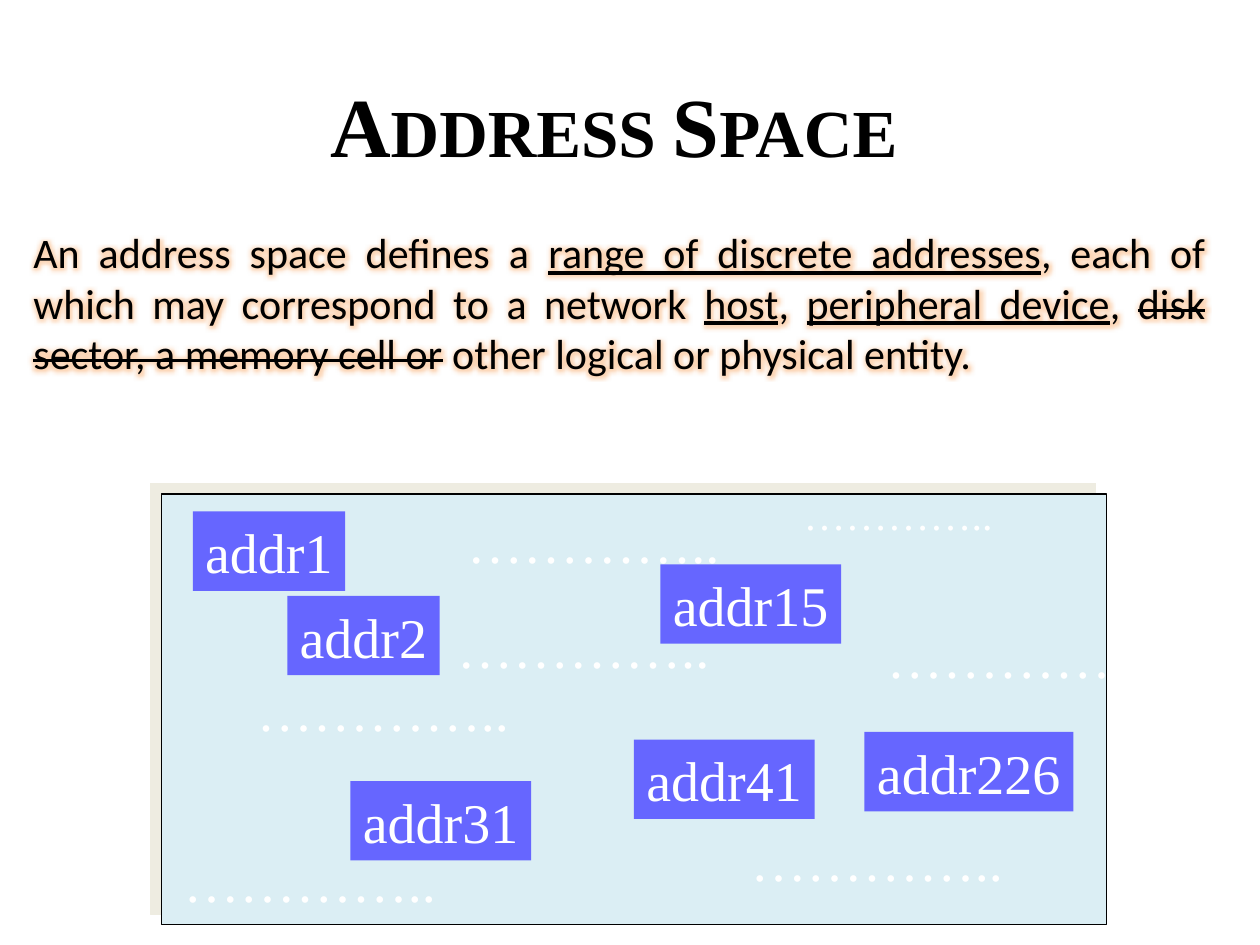
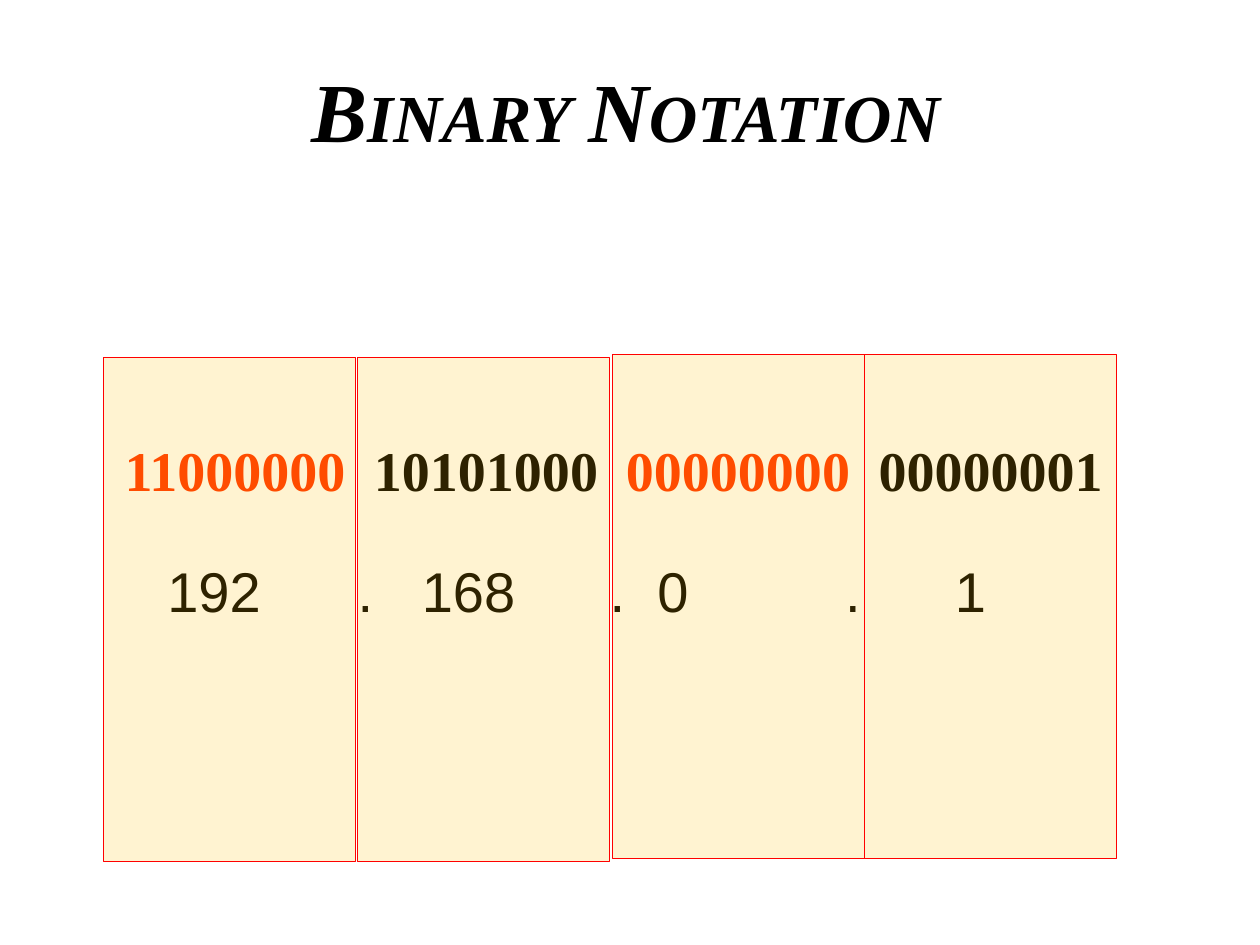
from lxml.etree import SubElement
from pptx import Presentation
from pptx.dml.color import RGBColor
from pptx.enum.shapes import MSO_SHAPE
from pptx.enum.text import MSO_ANCHOR, MSO_AUTO_SIZE, PP_ALIGN
from pptx.oxml.ns import qn
from pptx.util import Inches, Pt

COLORS = {
    "ink": "000000", "white": "FFFFFF", "label": "6666FF", "panel": "DBEEF4",
    "shade": "EEECE1", "glow": "F79646", "octet": "FFC000", "edge": "FF0000",
    "accent": "FF3300",
}
SERIF, SANS, BODY = "Times New Roman", "Arial", "Calibri"
COLS, ROWS = 100, 75


def rgb(name):
    """Return a palette colour."""
    return RGBColor.from_string(COLORS[name])


def add_color(parent, name, alpha):
    """Add a palette colour with an opacity in percent to an effect."""
    clr = SubElement(parent, qn("a:srgbClr"), val=COLORS[name])
    SubElement(clr, qn("a:alpha"), val=str(alpha * 1000))


class Deck:
    """Hold the shared style and the current slide, on a 100 by 75 grid."""

    def __init__(self):
        """Open an empty 4:3 presentation."""
        self.prs = Presentation()
        self.prs.slide_width, self.prs.slide_height = Inches(10), Inches(7.5)

    def box(self, x, y, w, h):
        """Turn grid columns and rows into slide lengths."""
        col, row = self.prs.slide_width / COLS, self.prs.slide_height / ROWS
        return int(x * col), int(y * row), int(w * col), int(h * row)

    def place(self, sp, *at):
        """Move a placeholder onto the grid."""
        sp.left, sp.top, sp.width, sp.height = self.box(*at)

    def style(self, r, size, font, color="ink", **flags):
        """Format one run."""
        r.font.size, r.font.name = Pt(size), font
        r.font.color.rgb = rgb(color)
        for name, value in flags.items():
            setattr(r.font, name, value)

    def slide(self, layout, title, at, italic=False):
        """Start a slide with a small-caps title."""
        self.s = self.prs.slides.add_slide(self.prs.slide_layouts[layout])
        self.shapes = self.s.shapes
        sp = self.s.shapes.title
        self.place(sp, *at)
        tf = sp.text_frame
        tf.text = title
        tf.auto_size = MSO_AUTO_SIZE.NONE
        p = tf.paragraphs[0]
        p.alignment = PP_ALIGN.LEFT
        self.style(p.runs[0], 48, SERIF, bold=True, italic=italic)
        p.runs[0].font._element.set("cap", "small")

    def group(self):
        """Put the shapes that follow into a group."""
        self.shapes = self.s.shapes.add_group_shape().shapes

    def body(self, parts, *at):
        """Fill the body with glowing, justified (text, mark) parts."""
        sp = self.s.placeholders[1]
        self.place(sp, *at)
        tf = sp.text_frame
        tf.auto_size = MSO_AUTO_SIZE.NONE
        p = tf.paragraphs[0]
        p.alignment, p.space_before = PP_ALIGN.JUSTIFY, Pt(0)
        pPr = p._p.get_or_add_pPr()
        pPr.set("marL", "0")
        pPr.set("indent", "0")
        SubElement(pPr, qn("a:buNone"))
        for text, mark in parts:
            r = p.add_run()
            r.text = text
            self.style(r, 24, BODY, underline=mark == "under")
            rPr = r.font._element
            if mark == "strike":
                rPr.set("strike", "sngStrike")
            effects = SubElement(rPr, qn("a:effectLst"))
            rPr.find(qn("a:solidFill")).addnext(effects)
            add_color(SubElement(effects, qn("a:glow"), rad=str(Pt(8))), "glow", 40)

    def rect(self, fill, *at, line=None, width=0.75, alpha=None, shade=None):
        """Draw a rectangle, with optional outline, opacity and shadow."""
        sp = self.shapes.add_shape(MSO_SHAPE.RECTANGLE, *self.box(*at))
        sp.shadow.inherit = False
        sp.fill.solid()
        sp.fill.fore_color.rgb = rgb(fill)
        spPr = sp._element.spPr
        if alpha:
            clr = spPr.find(qn("a:solidFill")).find(qn("a:srgbClr"))
            SubElement(clr, qn("a:alpha"), val=str(alpha * 1000))
        if line:
            sp.line.color.rgb, sp.line.width = rgb(line), Pt(width)
        else:
            sp.line.fill.background()
        if shade:
            shadow = SubElement(spPr.find(qn("a:effectLst")), qn("a:outerShdw"),
                                dist=str(Pt(8.5)), dir=str(225 * 60000), rotWithShape="0")
            add_color(shadow, shade, 100)
        return sp

    def label(self, text, x, y):
        """Draw an address label as wide as its text."""
        sp = self.rect("label", x, y, 12.1 + 2.25 * (len(text) - 5), 6.3)
        tf = sp.text_frame
        tf.text, tf.word_wrap = text, False
        tf.vertical_anchor = MSO_ANCHOR.MIDDLE
        p = tf.paragraphs[0]
        p.alignment = PP_ALIGN.CENTER
        self.style(p.runs[0], 32, SERIF, "white")

    def dots(self, x, y, size=32):
        """Write a dotted run that stands for more addresses."""
        scale = size / 32
        sp = self.shapes.add_textbox(*self.box(x, y, 2.2 + 20 * scale, 1 + 5.3 * scale))
        tf = sp.text_frame
        tf.text, tf.word_wrap = "…………..", False
        self.style(tf.paragraphs[0].runs[0], size, SERIF, "white")

    def tabbed(self, y, items, font, colors=("ink",), bold=False):
        """Write a full-width line of (column, text) items on tab stops."""
        tf = self.shapes.add_textbox(*self.box(0, y, COLS, 6.4)).text_frame
        tf.word_wrap = True
        p = tf.paragraphs[0]
        tabs = SubElement(p._p.get_or_add_pPr(), qn("a:tabLst"))
        for i, (x, text) in enumerate(items):
            pos = self.box(x, 0, 0, 0)[0] - tf.margin_left
            SubElement(tabs, qn("a:tab"), pos=str(pos), algn="l")
            r = p.add_run()
            r.text = "\t" + text
            self.style(r, 32, font, colors[i % len(colors)], bold=bold)


def address_space(deck):
    """Build the address space slide."""
    deck.slide(1, "Address Space", (25.2, 5.3, 50, 9.1))
    deck.body([
        ("An address space defines a ", None),
        ("range of discrete addresses", "under"),
        (", each of which may correspond to a network ", None),
        ("host", "under"),
        (", ", None),
        ("peripheral device", "under"),
        (", ", None),
        ("disk sector, a memory cell or", "strike"),
        (" other logical or physical entity.", None),
    ], 1.65, 17.5, 95, 13.1)
    deck.group()
    deck.rect("panel", 12.8, 39.2, 75, 34.2, line="ink", shade="shade")
    for text, x, y in [("addr15", 52.4, 44.8), ("addr1", 15.3, 40.6),
                       ("addr2", 22.8, 47.3), ("addr41", 50.3, 58.7),
                       ("addr31", 27.8, 62), ("addr226", 68.6, 58.1)]:
        deck.label(text, x, y)
    for x, y in [(69.4, 48.9), (19.4, 53.1), (36.1, 39.8),
                 (35.3, 48.1), (58.6, 65), (13.6, 66.7)]:
        deck.dots(x, y)
    deck.dots(62.8, 38.3, size=24)


def binary_notation(deck):
    """Build the binary notation slide."""
    deck.slide(5, "Binary Notation", (23.7, 4.1, 55, 9.1), italic=True)
    octets = ["11000000", "10101000", "00000000", "00000001"]
    deck.tabbed(34.1, zip((9.9, 29.7, 49.7, 69.75), octets), SERIF,
                ("accent", "ink"), bold=True)
    deck.tabbed(43.7, [(13.3, "192"), (28.4, "."), (33.5, "168"), (48.4, "."),
                       (52.2, "0"), (67.1, "."), (75.8, "1")], SANS)
    for x, y in [(8.2, 28.35), (28.35, 28.35), (48.6, 28.15), (68.6, 28.15)]:
        deck.rect("octet", x, y, 20, 40, line="edge", width=0.5, alpha=18)


def main():
    """Build and save both slides."""
    deck = Deck()
    address_space(deck)
    binary_notation(deck)
    deck.prs.save("out.pptx")


if __name__ == "__main__":
    main()
